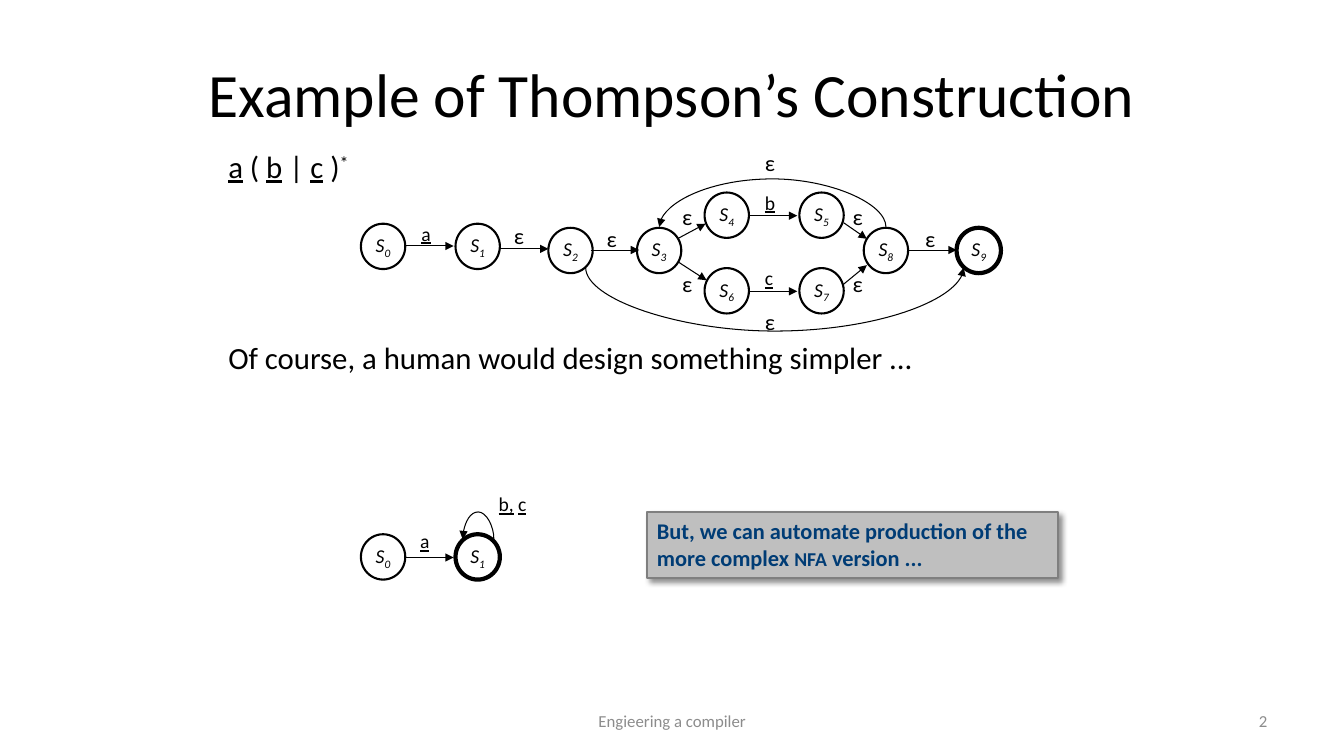
from lxml import etree
from pptx import Presentation
from pptx.dml.color import RGBColor
from pptx.enum import shapes, text
from pptx.oxml import ns
from pptx.util import Pt

BLACK = RGBColor(0x00, 0x00, 0x00)
FOOTER_GRAY = RGBColor(0x8C, 0x8C, 0x8C)
BOX_FILL = RGBColor(0xBF, 0xBF, 0xBF)
BOX_LINE = RGBColor(0x7F, 0x7F, 0x7F)
NAVY = RGBColor(0x00, 0x3C, 0x75)

STATE_W, STATE_H = 31.7, 32.4
LABEL_W, LABEL_H = 21, 25
ARC_FRAME = 0.125  # thin frame; the adjustment sets the depth of the arc
UNDERLINED = {"underline": True}

# Each NFA: states (number, left, top, line width), arrows (x1, y1, x2, y2),
# arcs (x1, x2, y, depth), letters and epsilons (left, top)
SIMPLE_NFA = {
    "states": [(0, 257.8, 381.6, 1.5), (1, 325.4, 381.6, 3)],
    "arrows": [(289.4, 398.2, 324, 398.2)],
    "arcs": [(352.8, 330.5, 385.2, 21.6)],
    "letters": [("a", 293, 374.4)],
    "epsilons": [],
}
THOMPSON_NFA = {
    "states": [
        (0, 257.8, 159.8, 1.5), (1, 325.4, 159.8, 1.5),
        (2, 391.7, 162.7, 1.5), (3, 455, 162.7, 1.5),
        (4, 503.3, 137.5, 1.5), (5, 571, 137.5, 1.5),
        (6, 503.3, 191.5, 1.5), (7, 571, 191.5, 1.5),
        (8, 617, 162.7, 1.5), (9, 683.3, 162.7, 3),
    ],
    "arrows": [
        (289.4, 175.7, 324, 175.7), (357.1, 177.8, 391.7, 177.8),
        (421.9, 178.6, 456.5, 178.6), (483.8, 170.6, 504, 159.8),
        (484.6, 187.2, 504.7, 200.2), (535, 154.1, 569.5, 154.1),
        (535, 208.1, 569.5, 208.1), (602.6, 159.1, 619.2, 170.6),
        (602.6, 203, 619.2, 189.4), (648.7, 178.6, 683.3, 178.6),
    ],
    "arcs": [(632.9, 470.9, 162.2, 38), (418.3, 688.3, 191.2, 50)],
    "letters": [("a", 293.8, 154.8), ("b", 539.3, 132.5), ("c", 539.3, 186.5)],
    "epsilons": [
        (360, 154.8), (426.2, 157), (653.8, 157),
        (480.2, 141.8), (601.9, 141.8), (480.2, 189.4), (601.9, 189.4),
        (539.3, 103), (539.3, 216.7),
    ],
}


def write(sp, paragraphs, size, color=BLACK, align=text.PP_ALIGN.LEFT,
          anchor=text.MSO_ANCHOR.TOP, wrap=True, gap=0, baseline=None, **style):
    """Fill a shape with paragraphs, each a list of (text, own format) runs."""
    tf = sp.text_frame
    tf.word_wrap = wrap
    tf.vertical_anchor = anchor
    for i, runs in enumerate(paragraphs):
        p = tf.add_paragraph() if i else tf.paragraphs[0]
        p.alignment = align
        p.space_before = Pt(gap if i else 0)
        for words, own in runs:
            r = p.add_run()
            r.text = words
            form = {"size": size, "baseline": baseline, **style, **own}
            r.font.name = "Calibri"
            r.font.size = Pt(form.pop("size"))
            r.font.color.rgb = color
            shift = form.pop("baseline")
            if shift:
                r.font._element.set("baseline", str(shift * 1000))
            for name, value in form.items():
                setattr(r.font, name, value)


def add_text(slide, left, top, width, height, paragraphs, **form):
    box = slide.shapes.add_textbox(Pt(left), Pt(top), Pt(width), Pt(height))
    write(box, paragraphs, **form)


def add_state(slide, number, left, top, line_width):
    sp = slide.shapes.add_shape(shapes.MSO_SHAPE.OVAL, Pt(left), Pt(top),
                                Pt(STATE_W), Pt(STATE_H))
    sp.shadow.inherit = False
    sp.fill.background()
    sp.line.color.rgb = BLACK
    sp.line.width = Pt(line_width)
    write(sp, [[("S", {}), (str(number), {"baseline": -25})]], size=14,
          italic=True, align=text.PP_ALIGN.CENTER,
          anchor=text.MSO_ANCHOR.MIDDLE, wrap=False)


def add_arrow(slide, x1, y1, x2, y2, kind=shapes.MSO_CONNECTOR.STRAIGHT):
    c = slide.shapes.add_connector(kind, Pt(x1), Pt(y1), Pt(x2), Pt(y2))
    c.line.color.rgb = BLACK
    c.line.width = Pt(0.75)
    etree.SubElement(c.line._get_or_add_ln(), ns.qn("a:tailEnd"), type="triangle")
    etree.SubElement(c._element.spPr, ns.qn("a:effectLst"))
    return c


def add_arc(slide, x1, x2, y, depth):
    """Curved arrow: above y when it runs to the left, below when to the right."""
    center, half = (x1 + x2) / 2, abs(x2 - x1) / 2
    c = add_arrow(slide, center + ARC_FRAME / 2, y - half,
                  center - ARC_FRAME / 2, y + half, shapes.MSO_CONNECTOR.CURVE)
    sp_pr = c._element.spPr
    quarter_turns = 1 if x1 > x2 else 3
    sp_pr.find(ns.qn("a:xfrm")).set("rot", str(quarter_turns * 5400000))
    geom = sp_pr.find(ns.qn("a:prstGeom"))
    guides = geom.find(ns.qn("a:avLst"))
    if guides is None:
        guides = etree.SubElement(geom, ns.qn("a:avLst"))
    etree.SubElement(guides, ns.qn("a:gd"), name="adj1",
                     fmla=f"val {round(depth / ARC_FRAME * 100000)}")


def add_nfa(slide, nfa):
    for state in nfa["states"]:
        add_state(slide, *state)
    for ends in nfa["arrows"]:
        add_arrow(slide, *ends)
    for arc in nfa["arcs"]:
        add_arc(slide, *arc)
    for letter, left, top in nfa["letters"]:
        add_text(slide, left, top, LABEL_W, LABEL_H, [[(letter, UNDERLINED)]], size=14)
    for left, top in nfa["epsilons"]:
        add_text(slide, left, top, LABEL_W, LABEL_H, [[("ε", {})]], size=16)


def add_remark(slide):
    sp = slide.shapes.add_shape(shapes.MSO_SHAPE.RECTANGLE, Pt(462.2), Pt(365.8),
                                Pt(293.8), Pt(46.8))
    sp.shadow.inherit = False
    sp.fill.solid()
    sp.fill.fore_color.rgb = BOX_FILL
    sp.line.color.rgb = BOX_LINE
    sp.line.width = Pt(1.5)
    effects = sp._element.spPr.find(ns.qn("a:effectLst"))
    shadow = etree.SubElement(effects, ns.qn("a:outerShdw"), blurRad=str(Pt(4)),
                              dist=str(Pt(3)), dir="2700000", algn="tl")
    shade = etree.SubElement(shadow, ns.qn("a:srgbClr"), val=str(BLACK))
    etree.SubElement(shade, ns.qn("a:alpha"), val="43000")
    write(sp, [[("But, we can automate production of the more complex ", {}),
                ("NFA", {"size": 14}), (" version ...", {})]],
          size=16, color=NAVY, bold=True)


def main():
    prs = Presentation()
    prs.slide_width, prs.slide_height = Pt(960), Pt(540)
    slide = prs.slides.add_slide(prs.slide_layouts[5])

    title = slide.shapes.title
    title.left, title.top, title.width, title.height = Pt(48), Pt(21.6), Pt(864), Pt(90)
    write(title, [[("Example of Thompson’s Construction", {})]], size=44,
          align=text.PP_ALIGN.CENTER, anchor=text.MSO_ANCHOR.MIDDLE)

    expression = [("a", UNDERLINED), (" ( ", {}), ("b", UNDERLINED), (" | ", {}),
                  ("c", UNDERLINED), (" )", {}), ("*", {"baseline": 30})]
    comment = [("Of course, a human would design something simpler ...", {})]
    add_text(slide, 156, 102.2, 648, 356.4, [expression, comment], size=22, gap=110)

    add_nfa(slide, SIMPLE_NFA)
    add_text(slide, 342, 347.8, 48.2, LABEL_H,
             [[("b,", UNDERLINED), (" ", {}), ("c", UNDERLINED)]],
             size=14, align=text.PP_ALIGN.CENTER)
    add_remark(slide)
    add_nfa(slide, THOMPSON_NFA)

    for words, left, width, align in [
        ("Engieering a compiler", 328.3, 303.8, text.PP_ALIGN.CENTER),
        ("2", 688.3, 224, text.PP_ALIGN.RIGHT),
    ]:
        add_text(slide, left, 500.4, width, 28.8, [[(words, {})]], size=12,
                 color=FOOTER_GRAY, align=align, anchor=text.MSO_ANCHOR.MIDDLE)

    prs.save("out.pptx")


if __name__ == "__main__":
    main()
